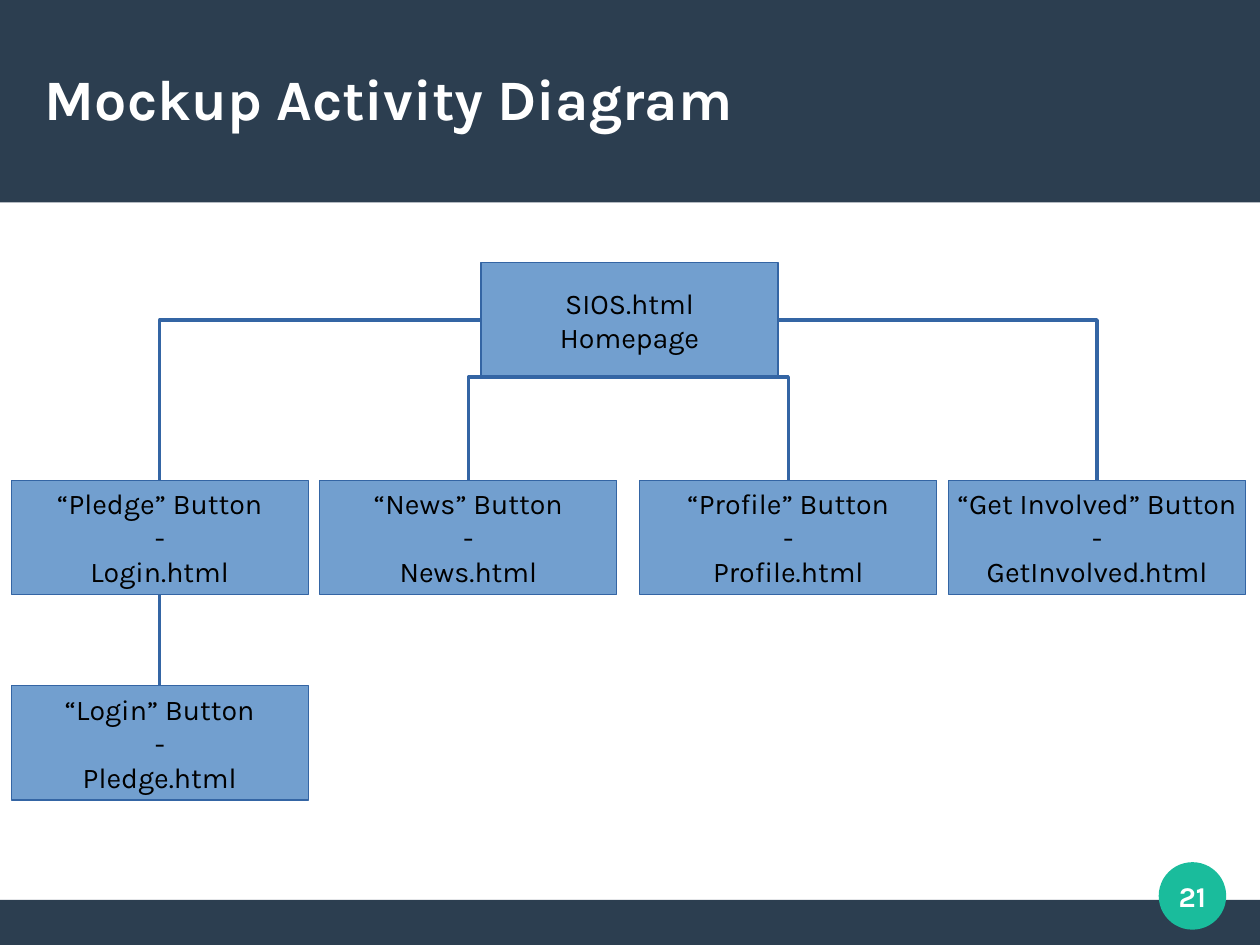
from lxml.etree import SubElement
from pptx import Presentation
from pptx.dml.color import RGBColor
from pptx.enum.shapes import MSO_CONNECTOR as CONN, MSO_SHAPE as SHAPE
from pptx.enum.text import MSO_ANCHOR as ANCHOR, PP_ALIGN as ALIGN
from pptx.oxml.ns import qn
from pptx.util import Cm, Pt

COLORS = {"navy": "2C3E50", "teal": "1ABC9C", "box": "729FCF",
          "edge": "3465A4", "white": "FFFFFF", "black": "000000"}
FONT = "Karla"
SLIDE_W, SLIDE_H = 28, 21
BOX_W, BOX_H = 6.6, 2.54


def rgb(name):
    return RGBColor.from_string(COLORS[name])


def write(sp, text, size=18, color="black", bold=False, align=ALIGN.CENTER,
          insets=(0, 0), wrap=False):
    tf = sp.text_frame
    tf.word_wrap = wrap
    tf.vertical_anchor = ANCHOR.MIDDLE
    tf.margin_left = tf.margin_right = Cm(insets[0])
    tf.margin_top = tf.margin_bottom = Cm(insets[1])
    for i, line in enumerate(text.split("\n")):
        p = tf.paragraphs[0] if i == 0 else tf.add_paragraph()
        p.alignment = align
        r = p.add_run()
        r.text = line
        r.font.name, r.font.size, r.font.bold = FONT, Pt(size), bold
        r.font.color.rgb = rgb(color)


def add_filled(s, kind, x, y, w, h, fill, line=None):
    sp = s.shapes.add_shape(kind, Cm(x), Cm(y), Cm(w), Cm(h))
    sp.shadow.inherit = False
    sp.fill.solid()
    sp.fill.fore_color.rgb = rgb(fill)
    if line:
        sp.line.color.rgb = rgb(line)
        sp.line.width = Pt(0)
    else:
        sp.line.fill.background()
    return sp


def add_page_box(s, x, y, text):
    sp = add_filled(s, SHAPE.RECTANGLE, x, y, BOX_W, BOX_H, "box", "edge")
    write(sp, text, insets=(0.25, 0.13))
    return sp


def add_link(s, kind, x1, y1, x2, y2):
    cn = s.shapes.add_connector(kind, x1, y1, x2, y2)
    cn.line.color.rgb = rgb("edge")
    cn.line.width = Pt(0)
    spPr = cn._element.spPr
    SubElement(spPr, qn("a:effectLst"))
    if kind == CONN.ELBOW:
        # One corner: sideways first, then down
        spPr.find(qn("a:prstGeom")).set("prst", "bentConnector2")
        if x2 < x1:
            xfrm = spPr.find(qn("a:xfrm"))
            xfrm.attrib.pop("flipH", None)
            xfrm.set("rot", "10800000")
            xfrm.set("flipV", "1")
    return cn


def add_header(s, x, y, w, h):
    add_filled(s, SHAPE.RECTANGLE, x, y, w, h, "navy")
    title = s.shapes.add_textbox(Cm(x + 1), Cm(y + 0.84), Cm(w - 2), Cm(2.67))
    write(title, "Mockup Activity Diagram", size=36, color="white", bold=True,
          align=ALIGN.LEFT, wrap=True)


def add_footer(s, x, y, w, h):
    add_filled(s, SHAPE.RECTANGLE, x, y, w, h, "navy")
    badge = add_filled(s, SHAPE.OVAL, x + w - 2.25, y - 0.84, 1.5, 1.5, "teal")
    write(badge, "21", color="white", bold=True)


def add_diagram(s, x, y):
    # Pages
    home = add_page_box(s, x + 10.44, y, "SIOS.html\nHomepage")
    pages = [(0, "“Pledge” Button\n-\nLogin.html"),
             (6.86, "“News” Button\n-\nNews.html"),
             (13.97, "“Profile” Button\n-\nProfile.html"),
             (20.83, "“Get Involved” Button\n-\nGetInvolved.html")]
    pledge, news, profile, involved = [
        add_page_box(s, x + dx, y + 4.83, text) for dx, text in pages]
    login = add_page_box(s, x, y + 9.4, "“Login” Button\n-\nPledge.html")

    # Links from the homepage
    home_mid_x = home.left + home.width // 2
    home_mid_y = home.top + home.height // 2
    home_bottom = home.top + home.height
    for x1, y1, page in [(home.left, home_mid_y, pledge),
                         (home_mid_x, home_bottom, news),
                         (home_mid_x, home_bottom, profile),
                         (home.left + home.width, home_mid_y, involved)]:
        add_link(s, CONN.ELBOW, x1, y1, page.left + page.width // 2, page.top)

    # Link from the pledge page to the login page
    cn = add_link(s, CONN.STRAIGHT, 0, 0, 0, 0)
    cn.begin_connect(pledge, 2)
    cn.end_connect(login, 0)


def main():
    prs = Presentation()
    prs.slide_width, prs.slide_height = Cm(SLIDE_W), Cm(SLIDE_H)
    s = prs.slides.add_slide(prs.slide_layouts[6])
    add_footer(s, 0, 20, SLIDE_W, 1)
    add_header(s, 0, 0, SLIDE_W, 4.5)
    add_diagram(s, 0.25, 5.84)
    prs.save("out.pptx")


if __name__ == "__main__":
    main()
